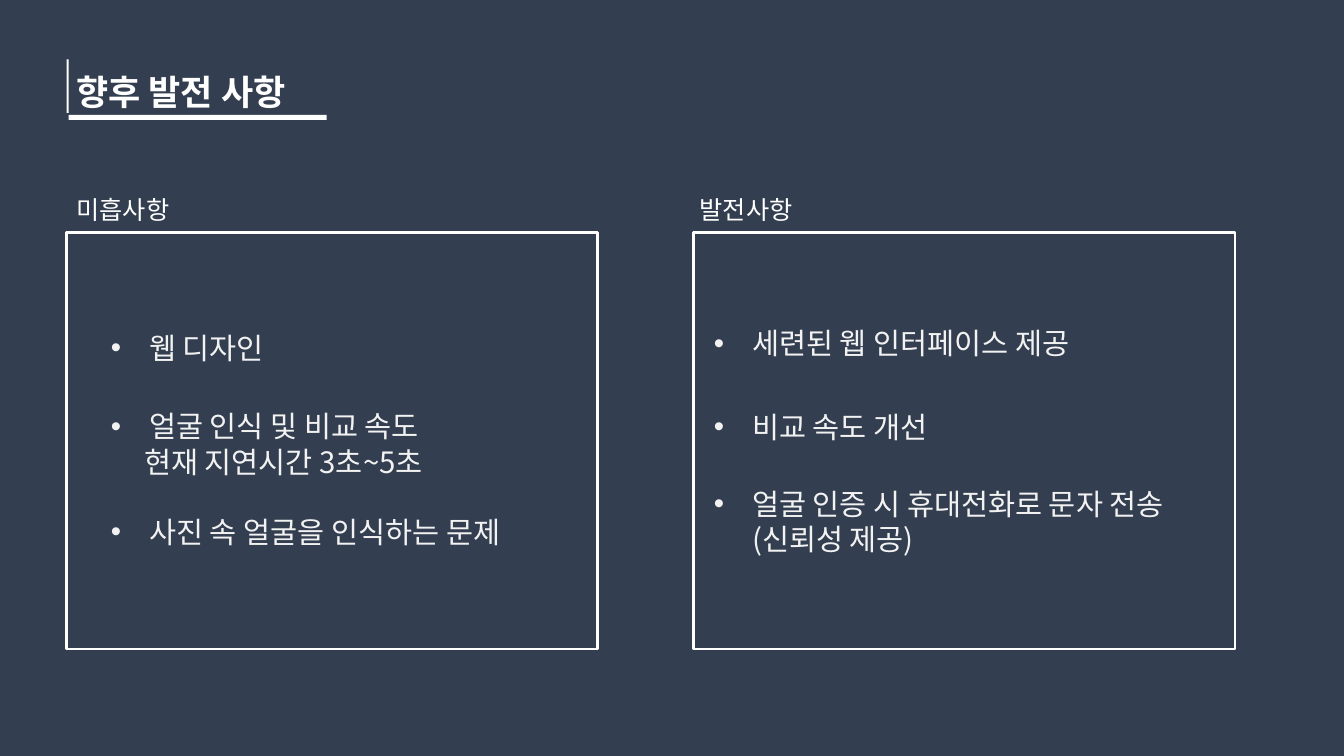
from lxml import etree
from pptx import Presentation
from pptx.dml.color import RGBColor
from pptx.enum.shapes import MSO_SHAPE
from pptx.enum.text import MSO_ANCHOR, MSO_AUTO_SIZE, PP_ALIGN
from pptx.oxml.ns import qn
from pptx.util import Inches, Pt

RECTANGLE = MSO_SHAPE.RECTANGLE
TOP, NO_FIT, LEFT = MSO_ANCHOR.TOP, MSO_AUTO_SIZE.NONE, PP_ALIGN.LEFT

# Content: each item is (text, has bullet, points of space before)
TITLE = "향후 발전 사항"
COLUMNS = [
    {
        "heading": "미흡사항",
        "items": [
            ("웹 디자인", True, 0),
            ("얼굴 인식 및 비교 속도", True, 31),
            ("현재 지연시간 3초~5초", False, 0),
            ("사진 속 얼굴을 인식하는 문제", True, 25),
        ],
        "heading_left": 0.66,
        "frame": (0.66, 5.27),
        "list_box": (1.0, 3.22, 5.64, 2.4),
    },
    {
        "heading": "발전사항",
        "items": [
            ("세련된 웹 인터페이스 제공", True, 0),
            ("비교 속도 개선", True, 34.5),
            ("얼굴 인증 시 휴대전화로 문자 전송 (신뢰성 제공)", True, 29.5),
        ],
        "heading_left": 6.84,
        "frame": (6.88, 5.37),
        "list_box": (6.98, 3.18, 5.4, 2.4),
    },
]

THEME = {
    "font": "Noto Sans CJK KR",
    "background": RGBColor(0x33, 0x3F, 0x50),
    "white": RGBColor(0xFF, 0xFF, 0xFF),
    "soft_white": RGBColor(0xF2, 0xF2, 0xF2),
    "title_size": 25,
    "heading_size": 18,
    "item_size": 21,
    "frame_line": 2,
}
LINE_RATIO = 1.2
BULLET_INDENT = 0.38
CONTINUATION_INDENT = 0.33
HEADING_TOP, HEADING_WIDTH, HEADING_HEIGHT = 1.88, 4.58, 0.4
FRAME_TOP, FRAME_HEIGHT = 2.31, 4.13
TITLE_BOX = (0.66, 0.44, 3.09, 0.73)
TITLE_BARS = [(0.68, 1.14, 2.56, 0.05), (0.66, 0.59, 0.02, 0.53)]
COMPARISON_LAYOUT = 4


def set_values(target, values):
    """Set every attribute named in a dict on the target."""
    for name, value in values.items():
        setattr(target, name, value)


def prepare_placeholder(placeholder, box):
    """Move a placeholder to a box in inches and return its text frame."""
    names = ("left", "top", "width", "height")
    set_values(placeholder, dict(zip(names, map(Inches, box))))
    frame = placeholder.text_frame
    set_values(frame, {
        "word_wrap": True, "auto_size": NO_FIT, "vertical_anchor": TOP,
        "margin_left": Inches(0.1), "margin_right": Inches(0.1),
        "margin_top": Inches(0.05), "margin_bottom": Inches(0.05),
    })
    return frame


def write_paragraph(paragraph, text, size, color, bold=False, spacing=LINE_RATIO, before=0):
    """Write one formatted run with a fixed line height."""
    set_values(paragraph, {
        "alignment": LEFT, "line_spacing": Pt(size * spacing),
        "space_before": Pt(before), "space_after": Pt(0),
    })
    run = paragraph.add_run()
    run.text = text
    set_values(run.font, {"size": Pt(size), "bold": bold, "name": THEME["font"]})
    run.font.color.rgb = color
    east_asian = etree.SubElement(run.font._element, qn("a:ea"))
    east_asian.set("typeface", THEME["font"])


def set_bullet(paragraph, has_bullet):
    """Give a paragraph a hanging bullet or a plain indent."""
    properties = paragraph._p.get_or_add_pPr()
    margin = BULLET_INDENT if has_bullet else CONTINUATION_INDENT
    properties.set("marL", str(Inches(margin)))
    properties.set("indent", str(-Inches(margin) if has_bullet else 0))
    if has_bullet:
        etree.SubElement(properties, qn("a:buFont")).set("typeface", "Arial")
        etree.SubElement(properties, qn("a:buChar")).set("char", "•")
    else:
        etree.SubElement(properties, qn("a:buNone"))


def add_rectangle(slide, box, filled):
    """Add a solid white bar or an outlined white frame."""
    shape = slide.shapes.add_shape(RECTANGLE, *map(Inches, box))
    shape.shadow.inherit = False
    if filled:
        shape.fill.solid()
        shape.fill.fore_color.rgb = THEME["white"]
        shape.line.fill.background()
    else:
        shape.fill.background()
        shape.line.color.rgb = THEME["white"]
        shape.line.width = Pt(THEME["frame_line"])


def add_column(slide, column, heading, body):
    """Fill one column: heading, frame and list."""
    heading_box = (column["heading_left"], HEADING_TOP, HEADING_WIDTH, HEADING_HEIGHT)
    heading_frame = prepare_placeholder(heading, heading_box)
    write_paragraph(heading_frame.paragraphs[0], column["heading"],
                    THEME["heading_size"], THEME["white"])
    left, width = column["frame"]
    add_rectangle(slide, (left, FRAME_TOP, width, FRAME_HEIGHT), filled=False)
    body_frame = prepare_placeholder(body, column["list_box"])
    for index, (text, has_bullet, before) in enumerate(column["items"]):
        paragraph = body_frame.add_paragraph() if index else body_frame.paragraphs[0]
        write_paragraph(paragraph, text, THEME["item_size"], THEME["soft_white"],
                        before=before)
        set_bullet(paragraph, has_bullet)


def build():
    """Build the slide and save the presentation."""
    presentation = Presentation()
    presentation.slide_width = Inches(13.33)
    presentation.slide_height = Inches(7.5)
    slide = presentation.slides.add_slide(presentation.slide_layouts[COMPARISON_LAYOUT])
    slide.background.fill.solid()
    slide.background.fill.fore_color.rgb = THEME["background"]

    title, *column_placeholders = slide.placeholders
    title_frame = prepare_placeholder(title, TITLE_BOX)
    write_paragraph(title_frame.paragraphs[0], TITLE, THEME["title_size"],
                    THEME["white"], bold=True, spacing=LINE_RATIO * 1.5)
    for bar in TITLE_BARS:
        add_rectangle(slide, bar, filled=True)

    pairs = zip(column_placeholders[::2], column_placeholders[1::2])
    for column, (heading, body) in zip(COLUMNS, pairs):
        add_column(slide, column, heading, body)
    presentation.save("out.pptx")


build()
